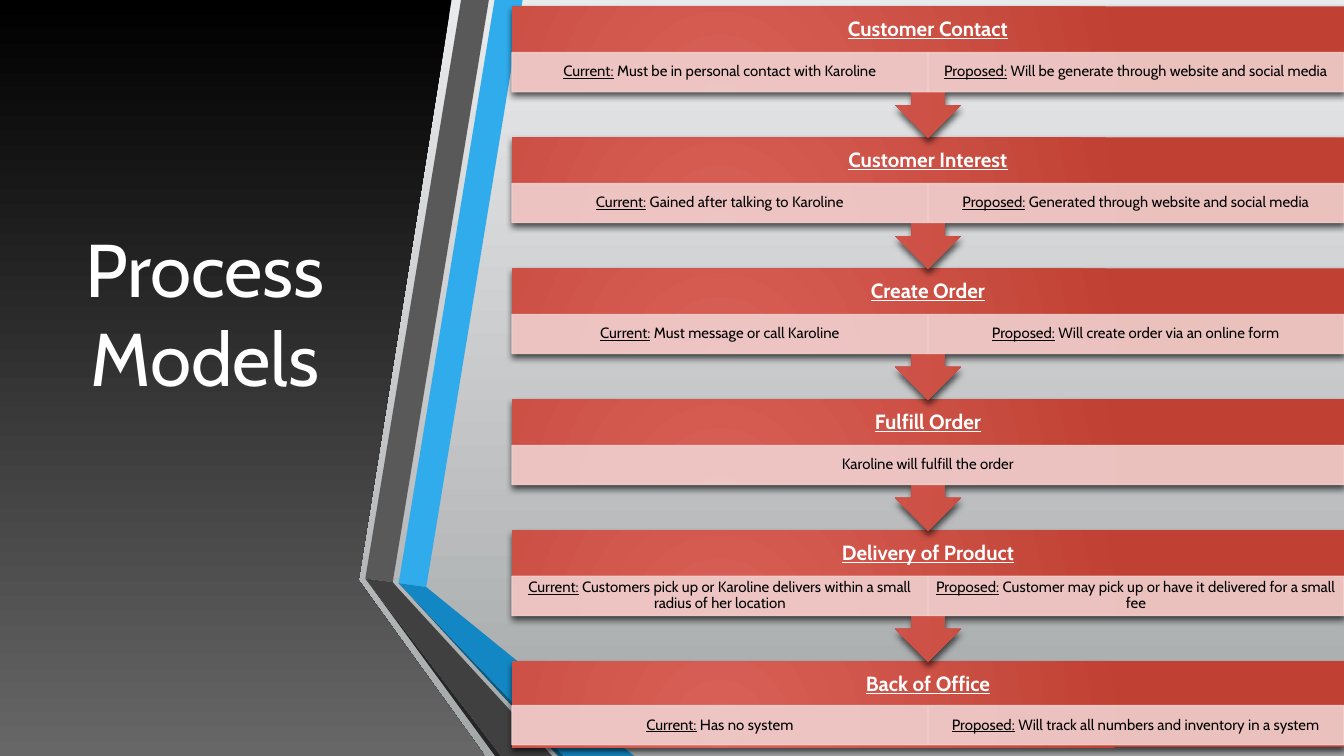
import pptx
import pptx.util
import pptx.dml.color
import pptx.enum.shapes
import pptx.enum.text
import pptx.oxml
import pptx.oxml.ns

Pt = pptx.util.Pt
SHAPE = pptx.enum.shapes.MSO_SHAPE
FONT = "Cabin"
SLIDE_W, SLIDE_H = 720, 405
STEP_LEFT, STEP_TOP, STEP_W = 274.3, 3.4, 445.7
PITCH, CALLOUT_H, LAST_H = 70.15, 70.5, 46.1
HEADING_H, CELL_H = 25, 20.9

STEPS = [
    ("Customer Contact", [
        ("Current:", " Must be in personal contact with Karoline"),
        ("Proposed:", " Will be generate through website and social media")]),
    ("Customer Interest", [
        ("Current:", " Gained after talking to Karoline"),
        ("Proposed:", " Generated through website and social media")]),
    ("Create Order", [
        ("Current:", " Must message or call Karoline"),
        ("Proposed:", " Will create order via an online form")]),
    ("Fulfill Order", [("", "Karoline will fulfill the order")]),
    ("Delivery of Product", [
        ("Current:", " Customers pick up or Karoline delivers within a small radius of her location"),
        ("Proposed:", " Customer may pick up or have it delivered for a small fee")]),
    ("Back of Office", [
        ("Current:", " Has no system"),
        ("Proposed:", " Will track all numbers and inventory in a system")]),
]

PANEL = [(190, 0), (241.9, 0), (192.2, 310.5), (192.2, 311), (259.8, 405), (0, 405), (0, 0)]
BANDS = [
    ("30ACEC", [(213.6, 312.4), (228.4, 314.5), (280, 0), (265, 0)]),
    ("595959", [(261.9, 0), (247, 0), (195.7, 309.9), (210.4, 311.9)]),
    ("262626", [(195.7, 309.9), (265.2, 405), (268.4, 405)]),
    ("0C5A82", [(213.6, 312.4), (299, 405), (302.1, 405)]),
    ("1287C3", [(213.6, 312.4), (302.1, 405), (339.8, 405), (228.4, 314.5)]),
    ("404040", [(295.8, 405), (213.1, 315), (210.4, 311.9), (195.7, 309.9), (268.4, 405)]),
]


def rgb(color):
    return pptx.dml.color.RGBColor.from_string(color)


def xml(text):
    return pptx.oxml.parse_xml(text.replace(">", " " + pptx.oxml.ns.nsdecls("a") + ">", 1))


def fill_solid(sp, color):
    sp.fill.solid()
    sp.fill.fore_color.rgb = rgb(color)


def fill_gradient(sp, first, last):
    sp.fill.gradient()
    sp.fill.gradient_angle = 270
    for stop, color, position in zip(sp.fill.gradient_stops, (first, last), (0, 1)):
        stop.color.rgb = rgb(color)
        stop.position = position


def make_radial(sp):
    lin = sp._element.spPr.find(".//" + pptx.oxml.ns.qn("a:lin"))
    lin.getparent().replace(lin, xml(
        '<a:path path="circle"><a:fillToRect l="50000" t="100000" r="100000" b="50000"/></a:path>'))


def add_shadow(sp):
    spPr = sp._element.spPr
    spPr.remove(spPr.find(pptx.oxml.ns.qn("a:effectLst")))
    spPr.append(xml(
        '<a:effectLst><a:outerShdw blurRad="38100" dist="25400" dir="5400000" rotWithShape="0">'
        '<a:srgbClr val="000000"><a:alpha val="64000"/></a:srgbClr></a:outerShdw></a:effectLst>'))


def set_alpha(sp, percent):
    for clr in sp._element.spPr.iter(pptx.oxml.ns.qn("a:srgbClr")):
        clr.append(xml(f'<a:alpha val="{percent * 1000}"/>'.replace("/>", "></a:alpha>")))


def add_preset(s, kind, x, y, w, h):
    sp = s.shapes.add_shape(kind, Pt(x), Pt(y), Pt(w), Pt(h))
    sp.shadow.inherit = False
    sp.line.fill.background()
    return sp


def add_polygon(s, points):
    start, *rest = [(Pt(x), Pt(y)) for x, y in points]
    builder = s.shapes.build_freeform(*start)
    builder.add_line_segments(rest, close=True)
    sp = builder.convert_to_shape()
    sp.shadow.inherit = False
    sp.line.fill.background()
    return sp


def set_text(sp, runs, size, color, margins, bold=False, spacing=None):
    tf = sp.text_frame
    tf.word_wrap = True
    tf.vertical_anchor = pptx.enum.text.MSO_ANCHOR.MIDDLE
    tf.margin_left, tf.margin_top, tf.margin_right, tf.margin_bottom = [Pt(m) for m in margins]
    p = tf.paragraphs[0]
    p.alignment = pptx.enum.text.PP_ALIGN.CENTER
    p.line_spacing = spacing
    p.font.name, p.font.size, p.font.bold = FONT, Pt(size), bold
    p.font.color.rgb = rgb(color)
    for text, underline in runs:
        if text:
            r = p.add_run()
            r.text = text
            r.font.underline = underline


def add_text(s, x, y, w, h, *args, **kwargs):
    box = s.shapes.add_textbox(Pt(x), Pt(y), Pt(w), Pt(h))
    set_text(box, *args, **kwargs)


def add_cell(s, x, y, w, label, detail):
    sp = add_preset(s, SHAPE.RECTANGLE, x, y, w, CELL_H)
    fill_solid(sp, "F0D0CE")
    sp.line.color.rgb = rgb("F0D0CE")
    sp.line.width = Pt(0.75)
    set_alpha(sp, 90)
    set_text(sp, [(label, True), (detail, False)], 8, "000000", (4.3, 0.7, 4.3, 0.7), spacing=0.9)


def add_step(s, y, heading, cells, last):
    if last:
        sp = add_preset(s, SHAPE.RECTANGLE, STEP_LEFT, y, STEP_W, LAST_H)
    else:
        sp = add_preset(s, SHAPE.UP_ARROW_CALLOUT, STEP_LEFT, y, STEP_W, CALLOUT_H)
        sp.rotation = 180
    fill_gradient(sp, "D96157", "C04033")
    make_radial(sp)
    add_shadow(sp)
    add_text(s, STEP_LEFT, y, STEP_W, HEADING_H, [(heading, True)], 11, "FFFFFF",
             (6.5, 6.5, 6.5, 6.5), bold=True, spacing=0.9)
    w = STEP_W / len(cells)
    cell_y = y + (23.9 if last else 24.8)
    for i, (label, detail) in enumerate(cells):
        add_cell(s, STEP_LEFT + i * w, cell_y, w, label, detail)


def main():
    prs = pptx.Presentation()
    prs.slide_width, prs.slide_height = Pt(SLIDE_W), Pt(SLIDE_H)
    s = prs.slides.add_slide(prs.slide_layouts[6])
    backdrop = add_preset(s, SHAPE.RECTANGLE, 0, 0, SLIDE_W, SLIDE_H)
    fill_gradient(backdrop, "E9EAEB", "A5A8A9")
    fill_gradient(add_polygon(s, PANEL), "000000", "676767")
    add_text(s, 31.7, 40.3, 156.2, 301.7, [("Process Models", False)], 40, "FFFFFF",
             (7.2, 3.6, 7.2, 51.6))
    for color, points in BANDS:
        fill_solid(add_polygon(s, points), color)
    for i, (heading, cells) in reversed(list(enumerate(STEPS))):
        add_step(s, STEP_TOP + i * PITCH, heading, cells, last=i == len(STEPS) - 1)
    prs.save("out.pptx")


if __name__ == "__main__":
    main()
